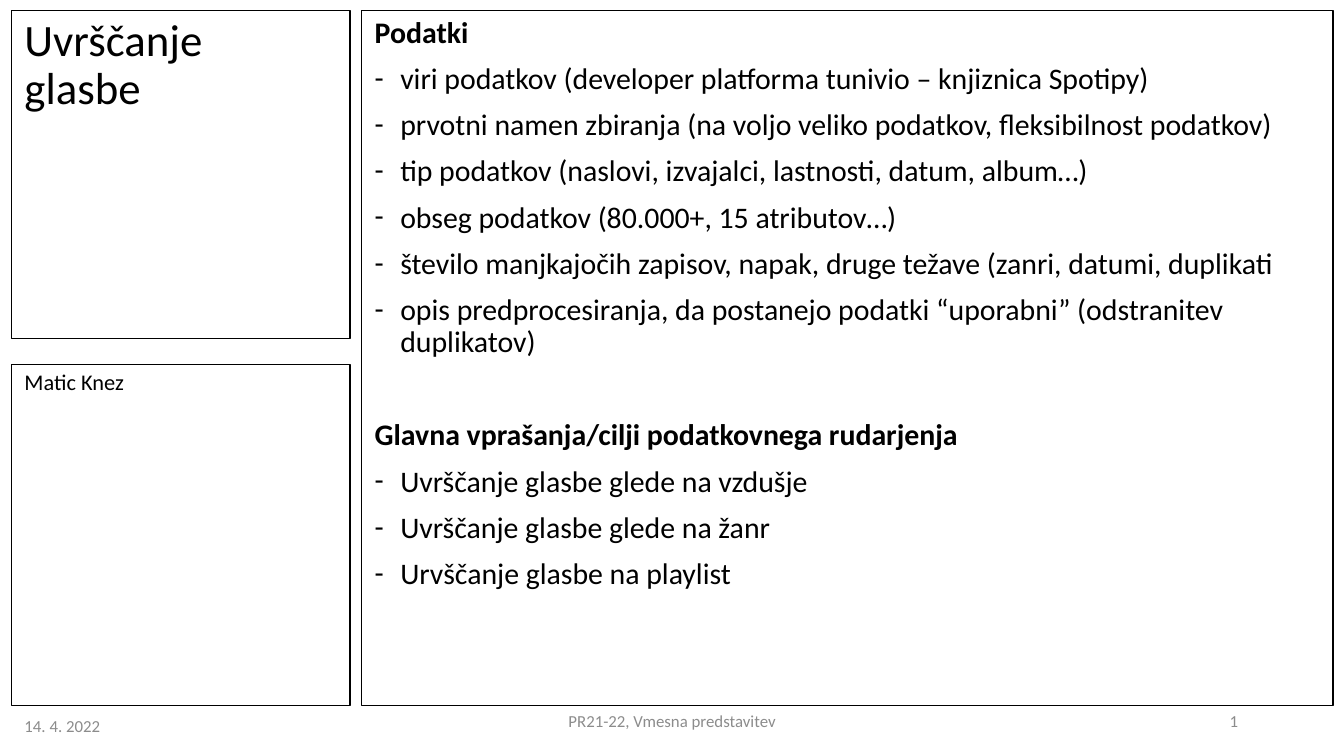
from lxml.etree import SubElement
from pptx import Presentation
from pptx.dml.color import RGBColor
from pptx.enum.shapes import MSO_SHAPE as Shape
from pptx.enum.text import MSO_ANCHOR as Anchor, PP_ALIGN as Align
from pptx.oxml.ns import qn
from pptx.util import Inches, Pt

WIDTH = Inches(10)
HEIGHT = WIDTH * 9 // 16
FONT = "Calibri"
COLORS = {"text": "000000", "line": "000000", "footer": "8C8C8C"}

# Panel grid, in percent of the slide's width and height
LEFT, LEFT_W = 0.84, 25.2
RIGHT, RIGHT_W = 26.9, 72.3
TOP, BOTTOM = 1.42, 93.33
TITLE_H, AUTHOR_TOP = 43.38, 48.2
FOOTER_TOP, FOOTER_H = 92.7, 5.33

SECTIONS = [
    ("Podatki", [
        "viri podatkov (developer platforma tunivio – knjiznica Spotipy)",
        "prvotni namen zbiranja (na voljo veliko podatkov, fleksibilnost podatkov)",
        "tip podatkov (naslovi, izvajalci, lastnosti, datum, album…)",
        "obseg podatkov (80.000+, 15 atributov…)",
        "število manjkajočih zapisov, napak, druge težave (zanri, datumi, duplikati",
        "opis predprocesiranja, da postanejo podatki “uporabni” (odstranitev duplikatov)",
    ]),
    ("Glavna vprašanja/cilji podatkovnega rudarjenja", [
        "Uvrščanje glasbe glede na vzdušje",
        "Uvrščanje glasbe glede na žanr",
        "Urvščanje glasbe na playlist",
    ]),
]


def place(x, y, w, h):
    """Turn percentages of the slide into lengths."""
    return [int(share * size / 100)
            for share, size in zip((x, y, w, h), (WIDTH, HEIGHT) * 2)]


def style(p, size, color="text", bold=False, align=Align.LEFT):
    p.alignment = align
    for r in p.runs:
        r.font.name = FONT
        r.font.size = Pt(size)
        r.font.bold = bold
        r.font.color.rgb = RGBColor.from_string(COLORS[color])


def add_panel(slide, *box):
    """Outlined rectangle; returns its text frame."""
    sp = slide.shapes.add_shape(Shape.RECTANGLE, *place(*box))
    sp.shadow.inherit = False
    sp.fill.background()
    sp.line.color.rgb = RGBColor.from_string(COLORS["line"])
    sp.line.width = Pt(0.75)
    tf = sp.text_frame
    tf.word_wrap = True
    tf.vertical_anchor = Anchor.TOP
    return tf


def add_paragraph(tf, text, size, bold=False, before=7.5):
    p = tf.add_paragraph() if tf.text else tf.paragraphs[0]
    p.text = text
    p.line_spacing = 0.9
    p.space_before = Pt(before)
    style(p, size, bold=bold)
    return p


def add_dash(p):
    """Hanging dash bullet."""
    pPr = p._p.get_or_add_pPr()
    pPr.set("marL", str(Inches(0.19)))
    pPr.set("indent", str(-Inches(0.19)))
    SubElement(pPr, qn("a:buFont")).set("typeface", FONT)
    SubElement(pPr, qn("a:buChar")).set("char", "-")


def add_footer(slide, text, x, y, w, align):
    tf = slide.shapes.add_textbox(*place(x, y, w, FOOTER_H)).text_frame
    tf.word_wrap = True
    tf.vertical_anchor = Anchor.MIDDLE
    tf.text = text
    style(tf.paragraphs[0], 9, "footer", align=align)


def main():
    prs = Presentation()
    prs.slide_width, prs.slide_height = WIDTH, HEIGHT
    s = prs.slides.add_slide(prs.slide_layouts[6])

    # Title
    tf = add_panel(s, LEFT, TOP, LEFT_W, TITLE_H)
    add_paragraph(tf, "Uvrščanje \vglasbe", 24, before=0)

    # Data and goals; a wider gap sets the second section apart
    tf = add_panel(s, RIGHT, TOP, RIGHT_W, BOTTOM - TOP)
    for i, (heading, items) in enumerate(SECTIONS):
        add_paragraph(tf, heading, 16, bold=True, before=32.6 if i else 7.5)
        for item in items:
            add_dash(add_paragraph(tf, item, 16))

    # Author
    tf = add_panel(s, LEFT, AUTHOR_TOP, LEFT_W, BOTTOM - AUTHOR_TOP)
    add_paragraph(tf, "Matic Knez", 12)

    # Footer: date, event, slide number
    add_footer(s, "14. 4. 2022", LEFT, BOTTOM, 41.1, Align.LEFT)
    add_footer(s, "PR21-22, Vmesna predstavitev", 33.1, FOOTER_TOP, 33.8, Align.CENTER)
    add_footer(s, "1", 70.6, FOOTER_TOP, 22.5, Align.RIGHT)

    prs.save("out.pptx")


if __name__ == "__main__":
    main()
